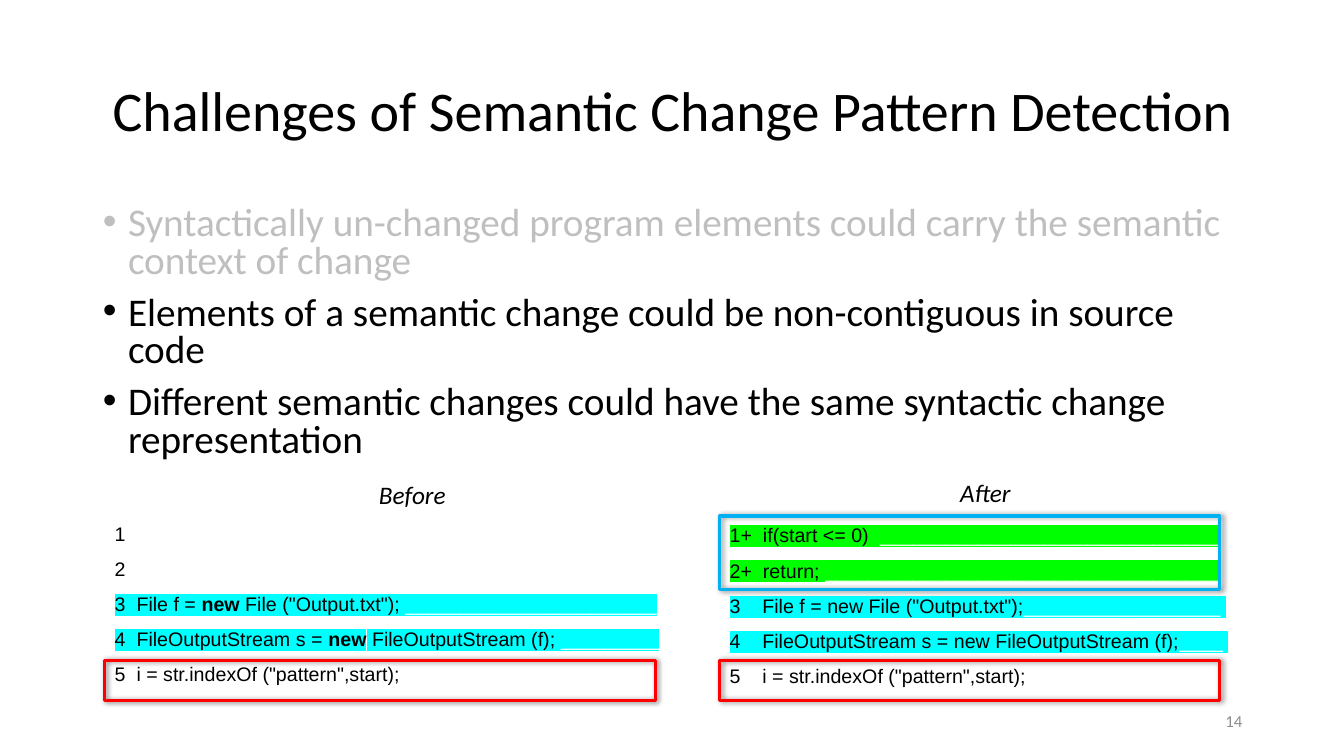
import pptx
import pptx.dml.color
import pptx.enum.shapes
import pptx.enum.text
import pptx.oxml
import pptx.oxml.ns
import pptx.util
from dataclasses import dataclass

ALIGN = pptx.enum.text.PP_ALIGN
ANCHOR = pptx.enum.text.MSO_ANCHOR
NS = pptx.oxml.ns.nsdecls("a")
WIDTH, HEIGHT = pptx.util.Inches(13.33), pptx.util.Inches(7.5)


@dataclass(frozen=True)
class Theme:
    text: str = "000000"
    faded: str = "BFBFBF"
    number: str = "8C8C8C"
    filler: str = "FFFFFF"
    kept: str = "00FFFF"
    added: str = "00FF00"
    red: str = "FF0000"
    blue: str = "00B0F0"
    font: str = "Calibri"
    code_font: str = "Arial"
    title_size: int = 40
    body_size: int = 28
    label_size: int = 18
    code_size: int = 14
    number_size: int = 12


T = Theme()

# Left, top, width and height as percent of the slide
TITLE_AREA = (6.9, 5.33, 86.27, 19.33)
BODY_AREA = (6.9, 26.67, 86.27, 35.87)
NUMBER_AREA = (70.67, 92.67, 22.5, 5.33)
LINE_HEIGHT = 5.33
FRAME_TOP = 87.33

BULLETS = [
    ("Syntactically un-changed program elements could carry the semantic context of change", T.faded),
    ("Elements of a semantic change could be non-contiguous in source code", T.text),
    ("Different semantic changes could have the same syntactic change representation", T.text),
]

# Code text (** around bold), highlight, white rule that extends the highlight
BEFORE = [
    ("1", None, ""),
    ("2", None, ""),
    ('3  File f = **new** File ("Output.txt"); ', T.kept, "_" * 23),
    ("4  FileOutputStream s = **new** FileOutputStream (f); ", T.kept, "_" * 9),
    ('5  i = str.indexOf ("pattern",start);', None, ""),
]
AFTER = [
    ("1+  if(start <= 0)  ", T.added, "_" * 31),
    ("2+  return; ", T.added, "_" * 36),
    ('3    File f = new File ("Output.txt");', T.kept, "_" * 18 + " "),
    ("4    FileOutputStream s = new FileOutputStream (f);", T.kept, "____ "),
    ('5    i = str.indexOf ("pattern",start);', None, ""),
]


def rgb(color):
    return pptx.dml.color.RGBColor.from_string(color)


def place(area):
    """Turn percent shares into slide lengths."""
    x, y, w, h = area
    return [int(WIDTH * x / 100), int(HEIGHT * y / 100),
            int(WIDTH * w / 100), int(HEIGHT * h / 100)]


def add_run(p, text, size, color=T.text, font=T.font, bold=False, italic=False, highlight=None):
    r = p.add_run()
    r.text = text
    r.font.size, r.font.name = pptx.util.Pt(size), font
    r.font.bold, r.font.italic = bold, italic
    r.font.color.rgb = rgb(color)
    if highlight:
        fill = r.font._element.find(pptx.oxml.ns.qn("a:solidFill"))
        fill.addnext(pptx.oxml.parse_xml(
            f'<a:highlight {NS}><a:srgbClr val="{highlight}"/></a:highlight>'))


def next_paragraph(tf, index, spacing):
    p = tf.paragraphs[0] if index == 0 else tf.add_paragraph()
    p.line_spacing = spacing
    p.space_before = pptx.util.Pt(10 if index else 0)
    return p


def fill_placeholder(sp, area, anchor):
    sp.left, sp.top, sp.width, sp.height = place(area)
    tf = sp.text_frame
    tf.word_wrap = True
    tf.auto_size = pptx.enum.text.MSO_AUTO_SIZE.NONE
    tf.vertical_anchor = anchor
    return tf


def add_box(s, area, anchor=ANCHOR.TOP):
    tf = s.shapes.add_textbox(*place(area)).text_frame
    tf.word_wrap = True
    tf.vertical_anchor = anchor
    return tf


def add_bullets(tf, items):
    for i, (text, color) in enumerate(items):
        p = next_paragraph(tf, i, 0.8)
        pPr = p._p.get_or_add_pPr()
        indent = pptx.util.Inches(0.25)
        pPr.set("marL", str(indent))
        pPr.set("indent", str(-indent))
        pPr.append(pptx.oxml.parse_xml(f'<a:buFont {NS} typeface="Arial"/>'))
        pPr.append(pptx.oxml.parse_xml(f'<a:buChar {NS} char="•"/>'))
        add_run(p, text, T.body_size, color)


def add_code(s, area, lines):
    tf = add_box(s, area)
    for i, (code, highlight, filler) in enumerate(lines):
        p = next_paragraph(tf, i, 0.9)
        style = dict(size=T.code_size, font=T.code_font, highlight=highlight)
        for j, part in enumerate(code.split("**")):
            add_run(p, part, bold=j % 2 == 1, **style)
        if filler:
            add_run(p, filler, color=T.filler, **style)


def add_line_of_text(s, area, text, align, anchor=ANCHOR.TOP, **style):
    p = add_box(s, area, anchor).paragraphs[0]
    p.alignment = align
    add_run(p, text, **style)


def add_frame(s, area, color):
    sp = s.shapes.add_shape(pptx.enum.shapes.MSO_SHAPE.RECTANGLE, *place(area))
    sp.fill.background()
    sp.line.color.rgb = rgb(color)
    sp.line.width = pptx.util.Pt(2.25)
    sp.shadow.inherit = False
    effects = sp._element.spPr.find(pptx.oxml.ns.qn("a:effectLst"))
    effects.append(pptx.oxml.parse_xml(
        f'<a:outerShdw {NS} blurRad="{pptx.util.Pt(4)}" dist="{pptx.util.Pt(1)}" dir="0">'
        '<a:srgbClr val="000000"><a:alpha val="50000"/></a:srgbClr></a:outerShdw>'))


def add_version(s, label, lines, x, width, label_top, code_top, frame_width):
    add_code(s, (x, code_top, width, 24), lines)
    add_line_of_text(s, (x, label_top, width, LINE_HEIGHT), label, ALIGN.CENTER,
                     size=T.label_size, italic=True)
    add_frame(s, (x, FRAME_TOP, frame_width, LINE_HEIGHT), T.red)


def main():
    prs = pptx.Presentation()
    prs.slide_width, prs.slide_height = WIDTH, HEIGHT
    s = prs.slides.add_slide(prs.slide_layouts[1])

    # Title and list
    p = next_paragraph(fill_placeholder(s.shapes.title, TITLE_AREA, ANCHOR.MIDDLE), 0, 0.9)
    p.alignment = ALIGN.CENTER
    add_run(p, "Challenges of Semantic Change Pattern Detection", T.title_size)
    add_bullets(fill_placeholder(s.placeholders[1], BODY_AREA, ANCHOR.TOP), BULLETS)

    # Slide number
    add_line_of_text(s, NUMBER_AREA, "14", ALIGN.RIGHT, ANCHOR.MIDDLE,
                     size=T.number_size, color=T.number)

    # Code before and after the change
    add_version(s, "Before", BEFORE, 7.8, 45.76, 62.8, 68.67, 40.96)
    add_version(s, "After", AFTER, 53.56, 39.53, 62.53, 68.93, 37.21)
    add_frame(s, (53.56, 68.27, 37.21, 9.73), T.blue)

    prs.save("out.pptx")


if __name__ == "__main__":
    main()
